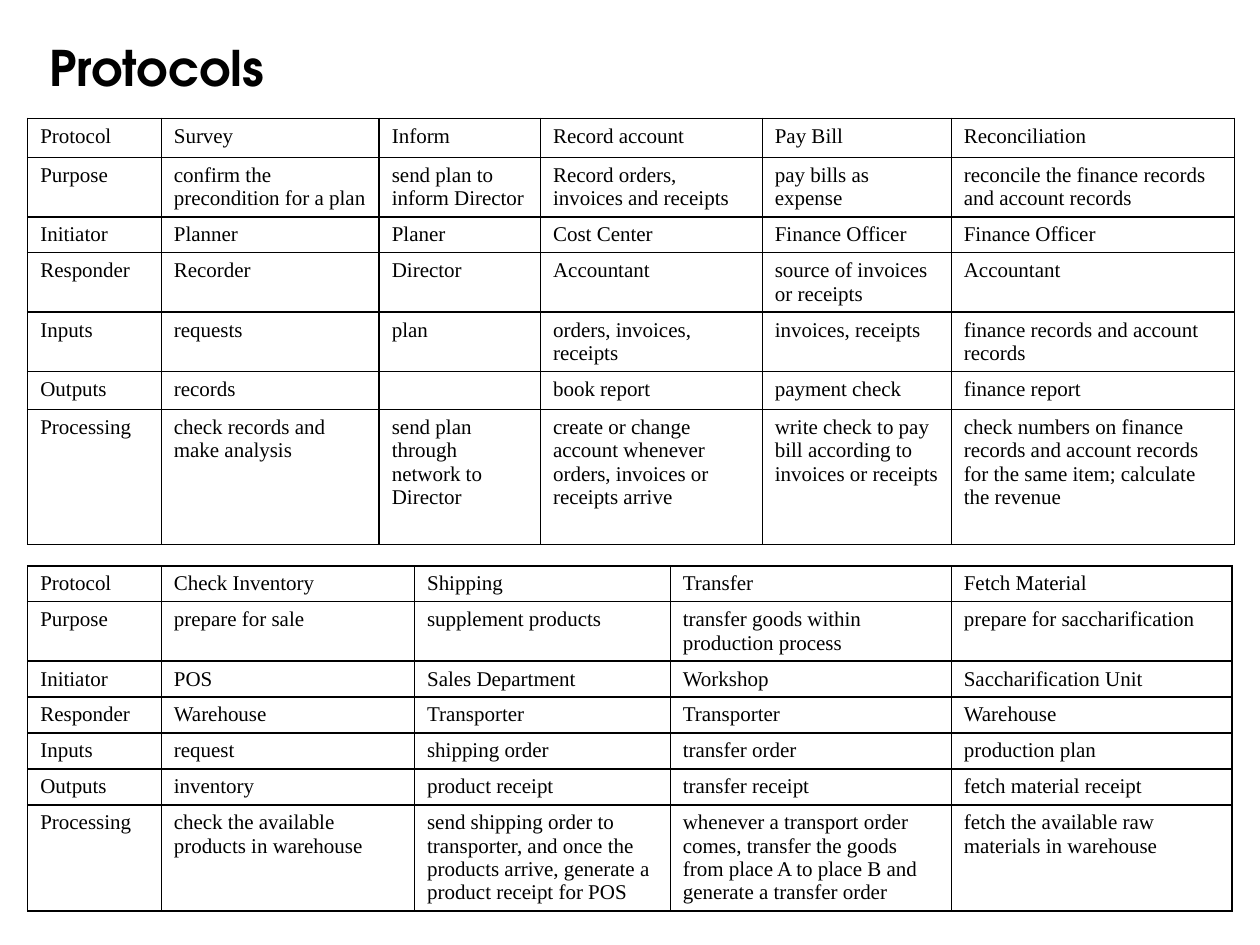
from dataclasses import dataclass

from lxml import etree
from pptx import Presentation
from pptx import util as u
from pptx.dml.color import RGBColor
from pptx.enum import text
from pptx.oxml import ns


@dataclass(frozen=True)
class Theme:
    ink: str = "000000"
    title_font: str = "TeX Gyre Adventor"
    body_font: str = "Times New Roman"
    title_size: int = 28
    body_size: int = 12
    border: float = 1


THEME = Theme()
LEFT = 0.22
LABEL_WIDTH = 1.06
# Row heights by number of text lines
ONE_LINE, TWO_LINES, FOUR_LINES = 0.285, 0.47, 0.84

LABELS = ["Protocol", "Purpose", "Initiator", "Responder", "Inputs", "Outputs", "Processing"]

# Each protocol lists its values in the order of LABELS
FINANCE_PROTOCOLS = [
    ["Survey", "confirm the precondition for a plan", "Planner", "Recorder",
     "requests", "records", "check records and make analysis"],
    ["Inform", "send plan to inform Director", "Planer", "Director",
     "plan", "", "send plan through network to Director"],
    ["Record account", "Record orders, invoices and receipts", "Cost Center", "Accountant",
     "orders, invoices, receipts", "book report",
     "create or change account whenever orders, invoices or receipts arrive"],
    ["Pay Bill", "pay bills as expense", "Finance Officer", "source of invoices or receipts",
     "invoices, receipts", "payment check",
     "write check to pay bill according to invoices or receipts"],
    ["Reconciliation", "reconcile the finance records and account records",
     "Finance Officer", "Accountant", "finance records and account records", "finance report",
     "check numbers on finance records and account records for the same item; "
     "calculate the revenue"],
]
FINANCE_WIDTHS = [LABEL_WIDTH, 1.73, 1.28, 1.76, 1.5, 2.25]
FINANCE_HEIGHTS = [0.31, TWO_LINES, ONE_LINE, TWO_LINES, TWO_LINES, ONE_LINE, 1.07]

GOODS_PROTOCOLS = [
    ["Check Inventory", "prepare for sale", "POS", "Warehouse", "request", "inventory",
     "check the available products in warehouse"],
    ["Shipping", "supplement products", "Sales Department", "Transporter",
     "shipping order", "product receipt",
     "send shipping order to transporter, and once the products arrive, "
     "generate a product receipt for POS"],
    ["Transfer", "transfer goods within production process", "Workshop", "Transporter",
     "transfer order", "transfer receipt",
     "whenever a transport order comes, transfer the goods from place A to place B "
     "and generate a transfer order"],
    ["Fetch Material", "prepare for saccharification", "Saccharification Unit", "Warehouse",
     "production plan", "fetch material receipt",
     "fetch the available raw materials in warehouse"],
]
GOODS_WIDTHS = [LABEL_WIDTH, 2.01, 2.03, 2.23, 2.23]
GOODS_HEIGHTS = [ONE_LINE, TWO_LINES] + [ONE_LINE] * 4 + [FOUR_LINES]


def style_font(font, name, size, bold=False):
    font.name = name
    font.size = u.Pt(size)
    font.bold = bold
    font.color.rgb = RGBColor.from_string(THEME.ink)


def add_borders(cell):
    properties = cell._tc.get_or_add_tcPr()
    for side in ("lnL", "lnR", "lnT", "lnB"):
        line = etree.SubElement(properties, ns.qn(f"a:{side}"), w=str(u.Pt(THEME.border)))
        fill = etree.SubElement(line, ns.qn("a:solidFill"))
        etree.SubElement(fill, ns.qn("a:srgbClr"), val=THEME.ink)


def fill_cell(cell, wording):
    add_borders(cell)
    cell.fill.background()
    paragraph = cell.text_frame.paragraphs[0]
    if wording:
        paragraph.text = wording
        style_font(paragraph.runs[0].font, THEME.body_font, THEME.body_size)
    else:
        # Keeps an empty cell from stretching its row
        etree.SubElement(paragraph._p, ns.qn("a:endParaRPr"), sz=str(THEME.body_size * 100))


def add_title(slide, left, top, width, height):
    title = slide.shapes.title
    title.left, title.top = u.Inches(left), u.Inches(top)
    title.width, title.height = u.Inches(width), u.Inches(height)
    frame = title.text_frame
    frame.text = "Protocols"
    frame.word_wrap = False
    frame.vertical_anchor = text.MSO_ANCHOR.TOP
    frame.paragraphs[0].alignment = text.PP_ALIGN.LEFT
    style_font(frame.paragraphs[0].runs[0].font, THEME.title_font, THEME.title_size, bold=True)


def add_protocol_table(slide, left, top, widths, heights, protocols):
    table = slide.shapes.add_table(
        len(heights), len(widths), u.Inches(left), u.Inches(top),
        u.Inches(sum(widths)), u.Inches(sum(heights))).table
    table.first_row = table.horz_banding = False
    for column, width in zip(table.columns, widths):
        column.width = u.Inches(width)
    for row, height in zip(table.rows, heights):
        row.height = u.Inches(height)
    for c, values in enumerate([LABELS, *protocols]):
        for r, wording in enumerate(values):
            fill_cell(table.cell(r, c), wording)


def main():
    deck = Presentation()
    deck.slide_width, deck.slide_height = u.Inches(10), u.Inches(7.5)
    slide = deck.slides.add_slide(deck.slide_layouts[5])
    add_title(slide, 0.29, 0.25, 1.94, 0.57)
    add_protocol_table(slide, LEFT, 0.94, FINANCE_WIDTHS, FINANCE_HEIGHTS, FINANCE_PROTOCOLS)
    add_protocol_table(slide, LEFT, 4.49, GOODS_WIDTHS, GOODS_HEIGHTS, GOODS_PROTOCOLS)
    deck.save("out.pptx")


if __name__ == "__main__":
    main()
